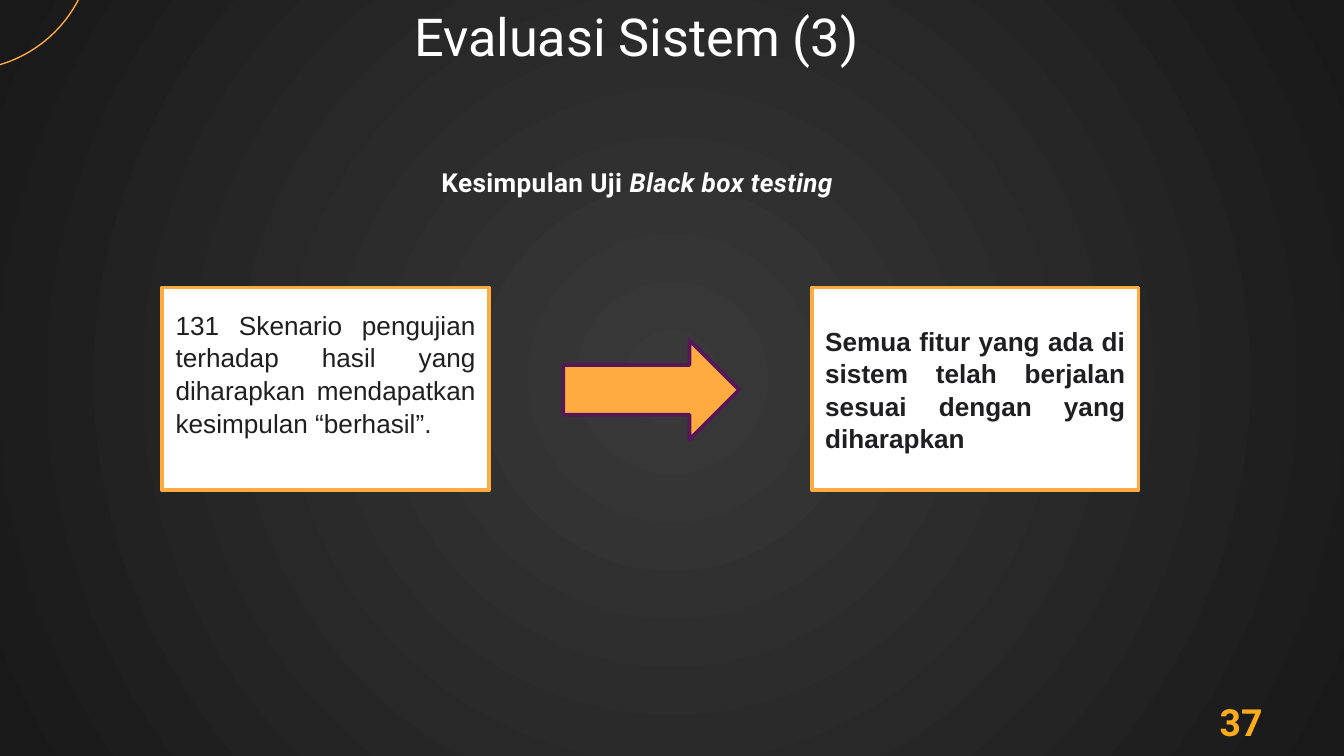
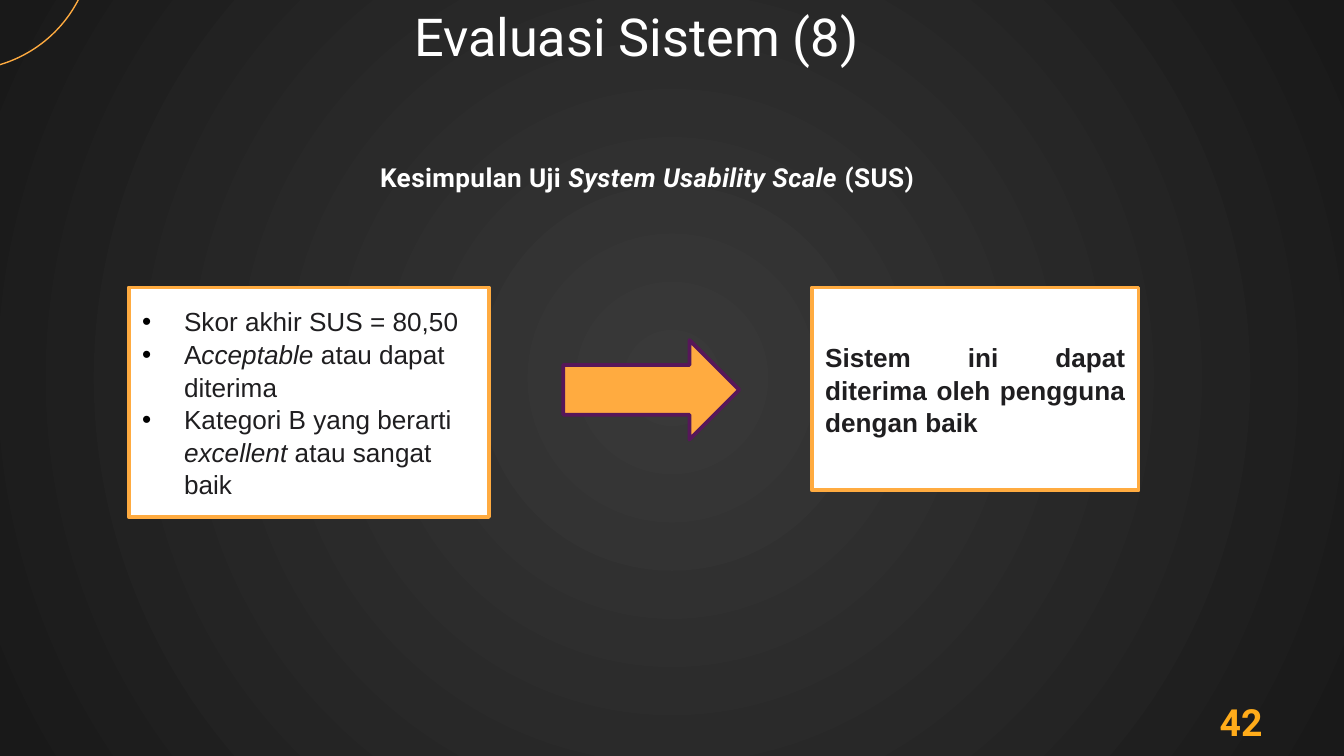
from dataclasses import dataclass

from lxml import etree
from pptx import Presentation
from pptx.dml.color import RGBColor
from pptx.enum.shapes import MSO_SHAPE
from pptx.enum.text import MSO_ANCHOR, PP_ALIGN
from pptx.oxml.ns import qn
from pptx.util import Pt

OVAL = MSO_SHAPE.OVAL
RECTANGLE = MSO_SHAPE.RECTANGLE
RIGHT_ARROW = MSO_SHAPE.RIGHT_ARROW
TOP = MSO_ANCHOR.TOP
MIDDLE = MSO_ANCHOR.MIDDLE
LEFT = PP_ALIGN.LEFT
CENTER = PP_ALIGN.CENTER
JUSTIFY = PP_ALIGN.JUSTIFY


@dataclass(frozen=True)
class Theme:
    background_center: str = "393939"
    background_edge: str = "191919"
    accent: str = "FFAB40"
    arrow_outline: str = "561759"
    page_number: str = "FFAC1A"
    light: str = "FFFFFF"
    dark: str = "1F1E20"
    bullet: str = "000000"
    heading_font: str = "Roboto"
    body_font: str = "Arial"
    title_size: float = 28
    number_size: float = 20
    body_size: float = 14
    body_spacing: float = 1.04
    thin_line: float = 0.75
    thick_line: float = 2


THEME = Theme()
SLIDE_WIDTH, SLIDE_HEIGHT = 720, 405
CORNER_RING = (-89.3, -101.5, 139, 139)
TITLE_BOX = (26.6, 2.2, 628.6, 31)
NUMBER_BOX = (609.8, 371.2, 110.2, 31.5)
FINDING_BOX = (87, 154, 175, 108.7)
WIDE_FINDING_BOX = (69, 154, 193, 123)
ARROW_BOX = (301.7, 182.2, 94.3, 53.3)
CONCLUSION_BOX = (435, 154, 175, 108.7)
INSET = (7.2, 3.6, 7.2, 3.6)
RAISED_INSET = (7.2, 3.6, 7.2, 20.4)
BULLET_INDENT = 22.5


def color(value):
    return RGBColor.from_string(value)


def add_bullet(paragraph):
    properties = paragraph._p.get_or_add_pPr()
    properties.set("marL", str(Pt(BULLET_INDENT)))
    properties.set("indent", str(-Pt(BULLET_INDENT)))
    bullet_color = etree.SubElement(properties, qn("a:buClr"))
    etree.SubElement(bullet_color, qn("a:srgbClr"), val=THEME.bullet)
    etree.SubElement(properties, qn("a:buFont"), typeface=THEME.body_font)
    etree.SubElement(properties, qn("a:buChar"), char="•")


def write_text(shape, paragraphs, *, font, size, ink, bold=False, tracking=0,
               align=CENTER, anchor=TOP, inset=INSET, spacing=None, bullets=False):
    frame = shape.text_frame
    frame.word_wrap = True
    frame.vertical_anchor = anchor
    (frame.margin_left, frame.margin_top,
     frame.margin_right, frame.margin_bottom) = map(Pt, inset)
    for index, parts in enumerate(paragraphs):
        paragraph = frame.add_paragraph() if index else frame.paragraphs[0]
        paragraph.alignment = align
        if spacing:
            paragraph.line_spacing = spacing
        if bullets:
            add_bullet(paragraph)
        for text, italic in parts:
            run = paragraph.add_run()
            run.text = text
            run.font.name = font
            run.font.size = Pt(size)
            run.font.color.rgb = color(ink)
            run.font.bold = bold
            run.font.italic = italic
            if tracking:
                run._r.get_or_add_rPr().set("spc", str(round(tracking * 100)))


def add_label(slide, box, paragraphs, **text_format):
    shape = slide.shapes.add_textbox(*map(Pt, box))
    write_text(shape, paragraphs, **text_format)


def add_figure(slide, kind, box, *, fill=None, outline, weight):
    shape = slide.shapes.add_shape(kind, *map(Pt, box))
    shape.shadow.inherit = False
    if fill:
        shape.fill.solid()
        shape.fill.fore_color.rgb = color(fill)
    else:
        shape.fill.background()
    shape.line.color.rgb = color(outline)
    shape.line.width = Pt(weight)
    return shape


def paint_background(slide):
    fill = slide.background.fill
    fill.gradient()
    for stop, value in zip(fill.gradient_stops,
                           (THEME.background_center, THEME.background_edge)):
        stop.color.rgb = color(value)
    linear = slide.element.find(".//" + qn("a:lin"))
    circle = etree.Element(qn("a:path"), path="circle")
    center = dict.fromkeys("ltrb", "50000")
    etree.SubElement(circle, qn("a:fillToRect"), center)
    linear.getparent().replace(linear, circle)


def add_frame(slide, title, number):
    paint_background(slide)
    add_figure(slide, OVAL, CORNER_RING, outline=THEME.accent, weight=THEME.thin_line)
    add_label(slide, TITLE_BOX, [[(title, False)]], font=THEME.heading_font,
              size=THEME.title_size, ink=THEME.light, inset=(0, 0, 0, 0))
    add_label(slide, NUMBER_BOX, [[(number, False)]], font=THEME.heading_font,
              size=THEME.number_size, ink=THEME.page_number, bold=True, tracking=0.1)


def add_card(slide, box, paragraphs, **text_format):
    card = add_figure(slide, RECTANGLE, box, fill=THEME.light,
                      outline=THEME.accent, weight=THEME.thick_line)
    write_text(card, paragraphs, font=THEME.body_font, size=THEME.body_size,
               ink=THEME.dark, anchor=MIDDLE, spacing=THEME.body_spacing, **text_format)


def add_conclusion_slide(presentation, *, title, number, subtitle, subtitle_box,
                         findings, finding_box, finding_format, conclusion):
    slide = presentation.slides.add_slide(presentation.slide_layouts[6])
    add_frame(slide, title, number)
    add_label(slide, subtitle_box, [subtitle], font=THEME.heading_font,
              size=THEME.body_size, ink=THEME.light, bold=True, tracking=0.2)
    add_card(slide, finding_box, findings, **finding_format)
    add_figure(slide, RIGHT_ARROW, ARROW_BOX, fill=THEME.accent,
               outline=THEME.arrow_outline, weight=THEME.thick_line)
    add_card(slide, CONCLUSION_BOX, [[(conclusion, False)]], align=JUSTIFY, bold=True)


def main():
    presentation = Presentation()
    presentation.slide_width = Pt(SLIDE_WIDTH)
    presentation.slide_height = Pt(SLIDE_HEIGHT)
    add_conclusion_slide(
        presentation,
        title="Evaluasi Sistem (3)",
        number="37",
        subtitle=[("Kesimpulan Uji ", False), ("Black box testing", True)],
        subtitle_box=(139, 85.7, 404.6, 24.5),
        findings=[[("131 Skenario pengujian terhadap hasil yang diharapkan "
                    "mendapatkan kesimpulan “berhasil”.", False)]],
        finding_box=FINDING_BOX,
        finding_format={"align": JUSTIFY, "inset": RAISED_INSET},
        conclusion="Semua fitur yang ada di sistem telah berjalan sesuai "
                   "dengan yang diharapkan",
    )
    add_conclusion_slide(
        presentation,
        title="Evaluasi Sistem (8)",
        number="42",
        subtitle=[("Kesimpulan Uji ", False), ("System Usability Scale ", True),
                  ("(SUS)", False)],
        subtitle_box=(118, 83.2, 457.2, 24.5),
        findings=[
            [("Skor akhir SUS = 80,50", False)],
            [("A", False), ("cceptable ", True), ("atau dapat diterima", False)],
            [("Kategori B yang berarti ", False), ("excellent ", True),
             ("atau sangat baik", False)],
        ],
        finding_box=WIDE_FINDING_BOX,
        finding_format={"align": LEFT, "bullets": True},
        conclusion="Sistem ini dapat diterima oleh pengguna dengan baik",
    )
    presentation.save("out.pptx")


if __name__ == "__main__":
    main()
